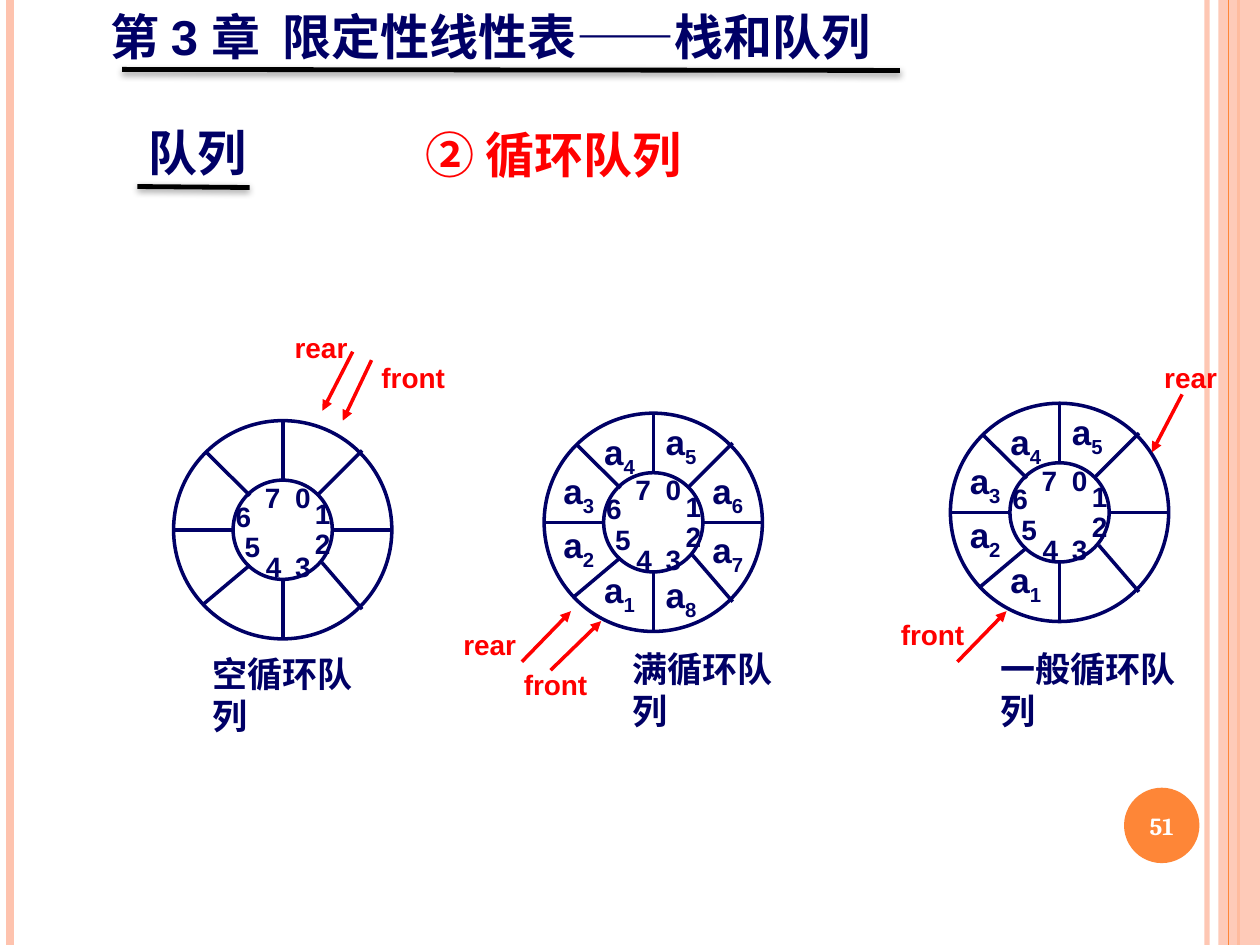
"""Build the slide on empty, full and ordinary circular queues."""
from lxml import etree
from pptx import Presentation
from pptx.dml.color import RGBColor
from pptx.enum import shapes, text
from pptx.oxml import ns
from pptx.util import Cm, Pt

COLORS = {"navy": "000066", "red": "FF0000", "black": "000000", "white": "FFFFFF",
          "peach": "FEC3AE", "orange": "FE8637"}
SLIDE_WIDTH, SLIDE_HEIGHT = 25.4, 19.05
OUTER, INNER = 2.2, 1.0
POINTER_WIDTHS = {"rear": 1.6, "front": 1.9}

SPOKES = [(0, -OUTER, 0, -INNER), (0, INNER, 0, OUTER),
          (-OUTER, 0, -INNER, 0), (INNER, 0, OUTER, 0),
          (0.69, -0.69, 1.6, -1.6), (-1.6, 1.5, -0.66, 0.71),
          (-1.53, -1.55, -0.66, -0.69), (0.79, 0.66, 1.6, 1.6)]
INDEX_OFFSETS = [(0, -1.12), (0.4, -0.79), (0.4, -0.18), (0, 0.28),
                 (-0.59, 0.28), (-1.02, -0.13), (-1.2, -0.74), (-0.61, -1.12)]
ELEMENT_OFFSETS = [(-1.24, 0.81), (-2.06, -0.1), (-2.06, -1.19), (-1.24, -1.98),
                   (0, -2.18), (0.94, -1.19), (0.94, 0), (0, 0.91)]
QUEUES = [
    {"center": (5.7, 10.68), "elements": 0,
     "caption": ("空循环队列", 4.04, 13.03, 3.94),
     "pointers": [("rear", 5.69, 6.53, (7.11, 7.09, 6.5, 8.28)),
                  ("front", 7.44, 7.14, (7.49, 7.26, 6.91, 8.48))]},
    {"center": (13.17, 10.53), "elements": 8,
     "caption": ("满循环队列", 12.5, 12.93, 3.94),
     "pointers": [("rear", 9.09, 12.52, (10.52, 13.34, 11.51, 12.32)),
                  ("front", 10.31, 13.34, (11.1, 13.51, 12.12, 12.52))]},
    {"center": (21.36, 10.33), "elements": 5,
     "caption": ("一般循环队列", 19.91, 12.93, 4.62),
     "pointers": [("rear", 23.22, 7.14, (23.83, 7.95, 23.22, 9.12)),
                  ("front", 17.91, 12.32, (19.3, 13.34, 20.29, 12.32))]},
]


def rgb(color):
    return RGBColor.from_string(COLORS[color])


def set_alpha(shape, percent):
    for color in shape._element.spPr.iter(ns.qn("a:srgbClr")):
        etree.SubElement(color, ns.qn("a:alpha"), val=str(percent * 1000))


def add_line(slide, ends, color, width, arrow=False, shadow=False):
    line = slide.shapes.add_connector(shapes.MSO_CONNECTOR.STRAIGHT, *map(Cm, ends))
    line.line.color.rgb = rgb(color)
    line.line.width = Pt(width)
    if arrow:
        etree.SubElement(line.line._get_or_add_ln(), ns.qn("a:tailEnd"), type="triangle")
    effects = etree.SubElement(line._element.spPr, ns.qn("a:effectLst"))
    if shadow:
        outer = etree.SubElement(effects, ns.qn("a:outerShdw"), blurRad=str(Pt(4)),
                                 dist=str(Pt(1.6)), dir="5400000", rotWithShape="0")
        shade = etree.SubElement(outer, ns.qn("a:srgbClr"), val=COLORS["black"])
        etree.SubElement(shade, ns.qn("a:alpha"), val="42000")
    return line


def add_solid(slide, preset, left, top, width, height, color):
    solid = slide.shapes.add_shape(preset, *map(Cm, (left, top, width, height)))
    solid.shadow.inherit = False
    solid.fill.solid()
    solid.fill.fore_color.rgb = rgb(color)
    solid.line.fill.background()
    return solid


def add_circle(slide, center, radius):
    x, y = center
    circle = slide.shapes.add_shape(
        shapes.MSO_SHAPE.OVAL, Cm(x - radius), Cm(y - radius), Cm(2 * radius), Cm(2 * radius))
    circle.shadow.inherit = False
    circle.fill.background()
    circle.line.color.rgb = rgb("navy")
    circle.line.width = Pt(2)


def format_font(paragraph, size, color, name="Arial"):
    font = paragraph.font
    font.name, font.size, font.bold = name, Pt(size), True
    font.color.rgb = rgb(color)


def add_label(slide, words, left, top, width, height, size, color="navy", wrap=False, subscript=""):
    label = slide.shapes.add_textbox(*map(Cm, (left, top, width, height)))
    label.text_frame.word_wrap = wrap
    paragraph = label.text_frame.paragraphs[0]
    paragraph.add_run().text = words
    if subscript:
        index = paragraph.add_run()
        index.text = subscript
        index.font._element.set("baseline", "-25000")
    format_font(paragraph, size, color)


def add_queue(slide, center, elements, caption, pointers):
    x, y = center
    for radius in (OUTER, INNER):
        add_circle(slide, center, radius)
    for x1, y1, x2, y2 in SPOKES:
        add_line(slide, (x + x1, y + y1, x + x2, y + y2), "navy", 2)
    for number, (dx, dy) in enumerate(INDEX_OFFSETS):
        add_label(slide, str(number), x + dx, y + dy, 0.81, 0.94, 16)
    for number, (dx, dy) in enumerate(ELEMENT_OFFSETS[:elements], 1):
        add_label(slide, "a", x + dx, y + dy, 1.14, 1.09, 20, subscript=str(number))
    for name, left, top, arrow in pointers:
        add_label(slide, name, left, top, POINTER_WIDTHS[name], 0.94, 16, "red")
        add_line(slide, arrow, "red", 2, arrow=True)
    words, left, top, width = caption
    add_label(slide, words, left, top, width, 1.09, 20, wrap=True)


def add_frame(slide):
    for x, color, width in ((24.33, "peach", 3), (0.2, "peach", 4.5), (24.97, "orange", 1.5)):
        edge = add_line(slide, (x, 0, x, SLIDE_HEIGHT), color, width)
        if width == 3:
            set_alpha(edge, 93)
    band = add_solid(slide, shapes.MSO_SHAPE.RECTANGLE, 24.56, 0, 0.84, SLIDE_HEIGHT, "peach")
    set_alpha(band, 87)
    add_line(slide, (24.77, 0, 24.77, SLIDE_HEIGHT), "orange", 0.75)


def add_page_number(slide, number):
    badge = add_solid(slide, shapes.MSO_SHAPE.OVAL, 22.66, 15.88, 1.52, 1.52, "orange")
    frame = badge.text_frame
    frame.margin_left = frame.margin_right = frame.margin_top = frame.margin_bottom = 0
    frame.vertical_anchor = text.MSO_ANCHOR.MIDDLE
    frame.text = number
    frame.paragraphs[0].alignment = text.PP_ALIGN.CENTER
    format_font(frame.paragraphs[0], 14, "white", "Cambria")


def set_title(slide, words):
    title = slide.shapes.title
    title.left, title.top, title.width, title.height = map(Cm, (1.98, 0, 16.56, 1.45))
    frame = title.text_frame
    frame.text = words
    frame.word_wrap = True
    frame.auto_size = text.MSO_AUTO_SIZE.NONE
    frame.vertical_anchor = text.MSO_ANCHOR.TOP
    frame.paragraphs[0].alignment = text.PP_ALIGN.LEFT
    format_font(frame.paragraphs[0], 28, "navy")


def main():
    deck = Presentation()
    deck.slide_width, deck.slide_height = Cm(SLIDE_WIDTH), Cm(SLIDE_HEIGHT)
    slide = deck.slides.add_slide(deck.slide_layouts[5])
    add_frame(slide)
    add_page_number(slide, "51")
    set_title(slide, "第 3 章  限定性线性表——栈和队列")
    add_line(slide, (2.46, 1.4, 18.14, 1.42), "black", 2.75, shadow=True)
    for queue in QUEUES:
        add_queue(slide, **queue)
    add_label(slide, "队列", 2.74, 2.34, 4.6, 1.45, 28, wrap=True)
    add_line(slide, (2.77, 3.76, 5.03, 3.78), "black", 2.75, shadow=True)
    add_label(slide, "② 循环队列", 8.33, 2.39, 5.99, 1.45, 28, "red", wrap=True)
    deck.save("out.pptx")


if __name__ == "__main__":
    main()
